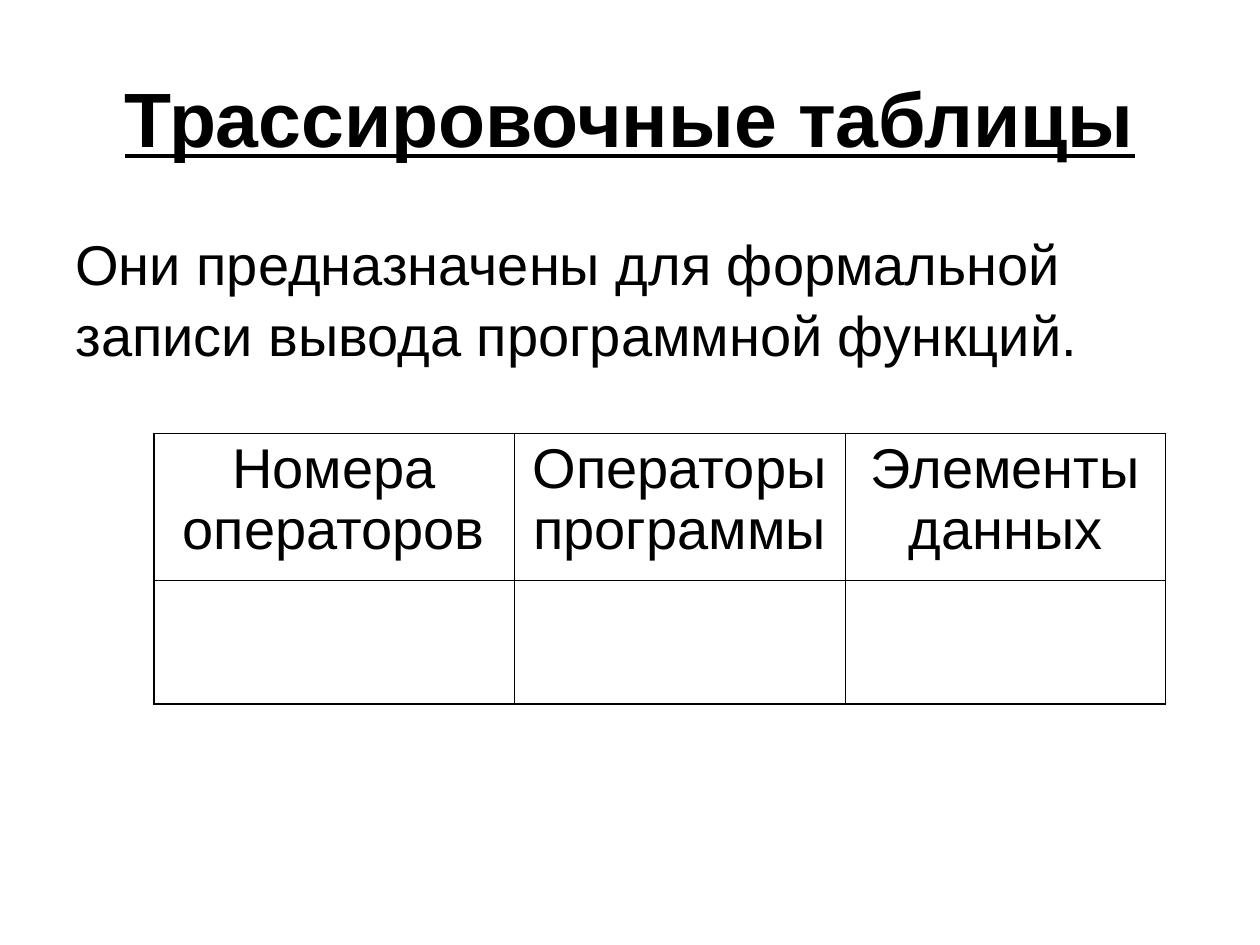
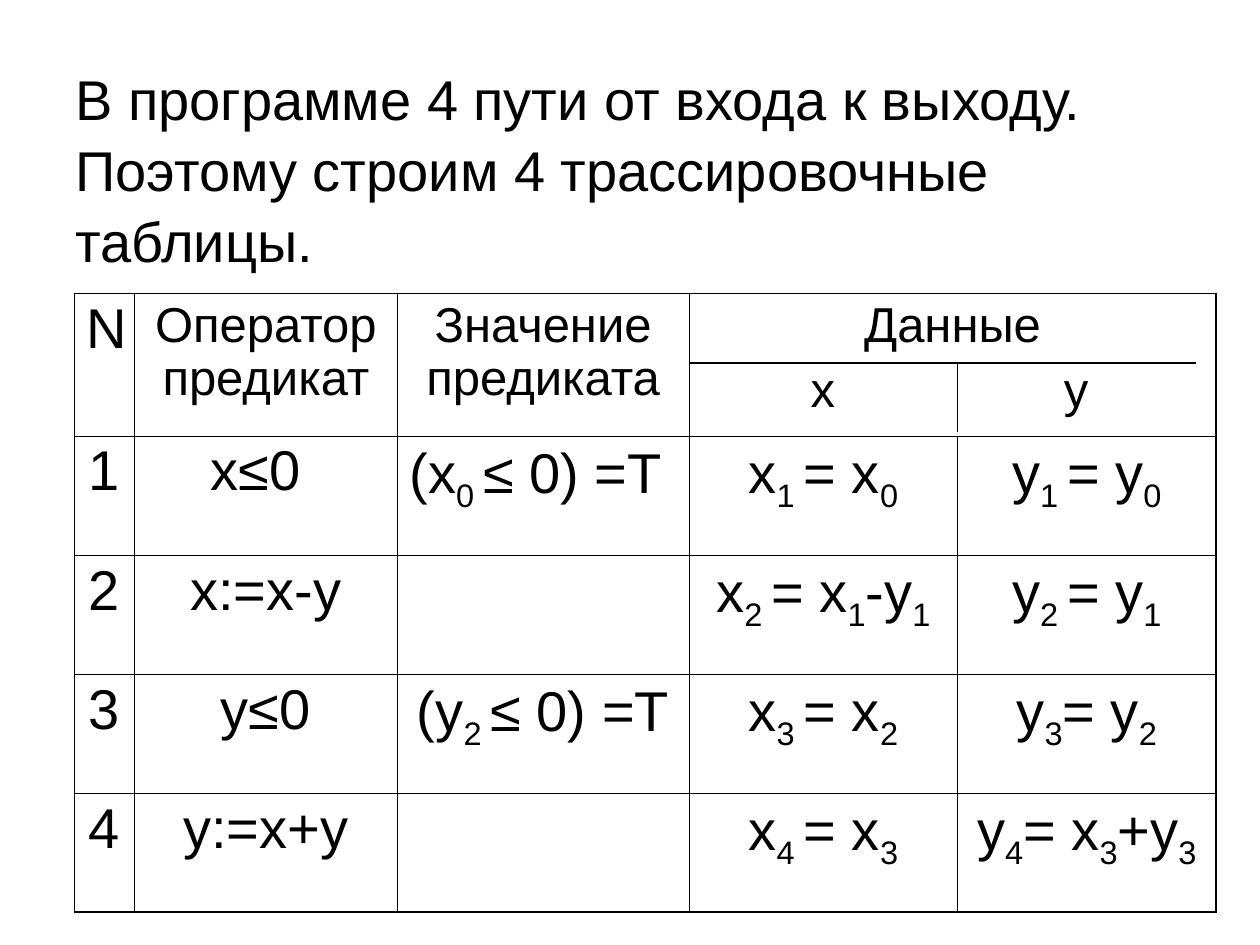
"""Build two slides about trace tables."""
from lxml.etree import SubElement
from pptx import Presentation
from pptx.dml.color import RGBColor
from pptx.enum.shapes import MSO_CONNECTOR as LINE
from pptx.enum.text import MSO_ANCHOR as ANCHOR, PP_ALIGN as ALIGN
from pptx.oxml.ns import qn
from pptx.util import Inches, Pt

COLORS = {"ink": "000000", "paper": "FFFFFF"}
FONT = "Arial"
COLS, ROWS = 100, 75
UNIT = Inches(10) / COLS
TITLE_PT, BODY_PT, HEAD_PT = 44, 32, 28
THICK, THIN = 1.08, 0.45
INK = RGBColor.from_string(COLORS["ink"])


def grid(*units):
    """Turn grid units into slide lengths."""
    return [round(u * UNIT) for u in units]


def style(p, size, align=ALIGN.LEFT, spacing=1.0, bold=False):
    """Format a paragraph and its runs."""
    p.alignment, p.line_spacing = align, spacing
    for r in p.runs:
        r.font.name, r.font.size, r.font.bold = FONT, Pt(size), bold
        r.font.color.rgb = INK


def add_slide(prs):
    """Add a blank slide on plain paper."""
    s = prs.slides.add_slide(prs.slide_layouts[6])
    s.background.fill.solid()
    s.background.fill.fore_color.rgb = RGBColor.from_string(COLORS["paper"])
    return s


def add_text(s, text, box, anchor=ANCHOR.TOP):
    """Add a wrapped text box and return its paragraph."""
    tf = s.shapes.add_textbox(*grid(*box)).text_frame
    tf.word_wrap, tf.vertical_anchor = True, anchor
    tf.text = text
    return tf.paragraphs[0]


def add_title(s, text):
    """Add the bold underlined title."""
    p = add_text(s, text, (5, 3, 90, 12.5), ANCHOR.MIDDLE)
    style(p, TITLE_PT, ALIGN.CENTER, bold=True)
    p.runs[0].font.underline = True


def add_body(s, text, top, width):
    """Add a body paragraph at the left margin."""
    style(add_text(s, text, (5, top, width, 20)), BODY_PT, spacing=1.05)


def write_formula(p, text):
    """Write text in which an underscore lowers the next digit."""
    first, *rest = text.split("_")
    p.text = first
    for part in rest:
        cut = 2 if part[1:2] == " " else 1
        low = p.add_run()
        low.text = part[:cut]
        low.font._element.set("baseline", "-25000")
        if part[cut:]:
            p.add_run().text = part[cut:]


def set_borders(cell, widths):
    """Draw the cell's edges, given widths by edge letter."""
    tc_pr = cell._tc.get_or_add_tcPr()
    for edge, width in widths.items():
        ln = SubElement(tc_pr, qn(f"a:ln{edge}"), w=str(Pt(width)))
        fill = SubElement(ln, qn("a:solidFill"))
        SubElement(fill, qn("a:srgbClr"), val=COLORS["ink"])


def add_table(s, left, top, widths, heights, texts):
    """Add a table with a thick frame and thin inner lines."""
    n_rows, n_cols = len(heights), len(widths)
    box = grid(left, top, sum(widths), sum(heights))
    table = s.shapes.add_table(n_rows, n_cols, *box).table
    table.first_row = table.horz_banding = False
    for column, width in zip(table.columns, grid(*widths)):
        column.width = width
    for row, height in zip(table.rows, grid(*heights)):
        row.height = height
    for i, row in enumerate(texts):
        for j, text in enumerate(row):
            cell = table.cell(i, j)
            if text is None:
                table.cell(i, j - 1).merge(cell)
            elif text:
                p = cell.text_frame.paragraphs[0]
                write_formula(p, text)
                style(p, BODY_PT, ALIGN.CENTER, 0.97)
    for i in range(n_rows):
        for j in range(n_cols):
            cell = table.cell(i, j)
            last = j + (cell.span_width if cell.is_merge_origin else 1) == n_cols
            edges = {"L": j == 0, "R": last, "T": i == 0, "B": i == n_rows - 1}
            if cell.is_spanned:
                del edges["L"]
            set_borders(cell, {e: THICK if outer else THIN for e, outer in edges.items()})
            cell.fill.background()
    return table


def add_line(s, *ends):
    """Add a thin straight line."""
    line = s.shapes.add_connector(LINE.STRAIGHT, *grid(*ends))
    line.line.color.rgb, line.line.width = INK, Pt(0.75)
    SubElement(line._element.spPr, qn("a:effectLst"))


def style_trace_head(table):
    """Shrink the column heads and add the names of the data."""
    for j in (1, 2, 3):
        style(table.cell(0, j).text_frame.paragraphs[0], HEAD_PT, ALIGN.CENTER, 0.97)
    p = table.cell(0, 3).text_frame.add_paragraph()
    p.text = "\tx\ty"
    p.space_before = Pt(7)
    tabs = SubElement(p._p.get_or_add_pPr(), qn("a:tabLst"))
    for stop in grid(9.6, 29.7):
        SubElement(tabs, qn("a:tab"), pos=str(stop), algn="ctr")
    style(p, HEAD_PT, spacing=0.97)


def main():
    """Build and save the slides."""
    prs = Presentation()
    prs.slide_width, prs.slide_height = grid(COLS, ROWS)

    s = add_slide(prs)
    add_title(s, "Трассировочные таблицы")
    add_body(s, "Они предназначены для формальной записи вывода программной функций.", 17.5, 90)
    add_table(s, 12.2, 34.4, (28.6, 26.3, 25.4), (11.7, 9.8),
              [("Номера операторов", "Операторы программы", "Элементы данных")])

    s = add_slide(prs)
    add_body(s, "В программе 4 пути от входа к выходу. "
                "Поэтому строим 4 трассировочные таблицы.", 4.4, 90.7)
    left, top, head = 5.9, 23.3, 11.3
    widths = (4.8, 20.8, 23.2, 21.3, 20.5)
    table = add_table(s, left, top, widths, [head] + [9.45] * 4, [
        ("N", "Оператор предикат", "Значение предиката", "Данные", None),
        ("1", "x≤0", "(x_0 ≤ 0) =T", "x_1 = x_0", "y_1 = y_0"),
        ("2", "x:=x-y", "", "x_2 = x_1-y_1", "y_2 = y_1"),
        ("3", "y≤0", "(y_2 ≤ 0) =T", "x_3 = x_2", "y_3= y_2"),
        ("4", "y:=x+y", "", "x_4 = x_3", "y_4= x_3+y_3"),
    ])
    style_trace_head(table)
    for j in (1, 2):
        table.cell(1, j).text_frame.paragraphs[0].alignment = ALIGN.LEFT
    table.cell(1, 1).margin_left = grid(6)[0]
    data_left, y_left, rule = left + sum(widths[:3]), left + sum(widths[:4]), top + 5.5
    add_line(s, data_left, rule, 94.9, rule)
    add_line(s, y_left, rule, y_left, 34.3)

    prs.save("out.pptx")


if __name__ == "__main__":
    main()
